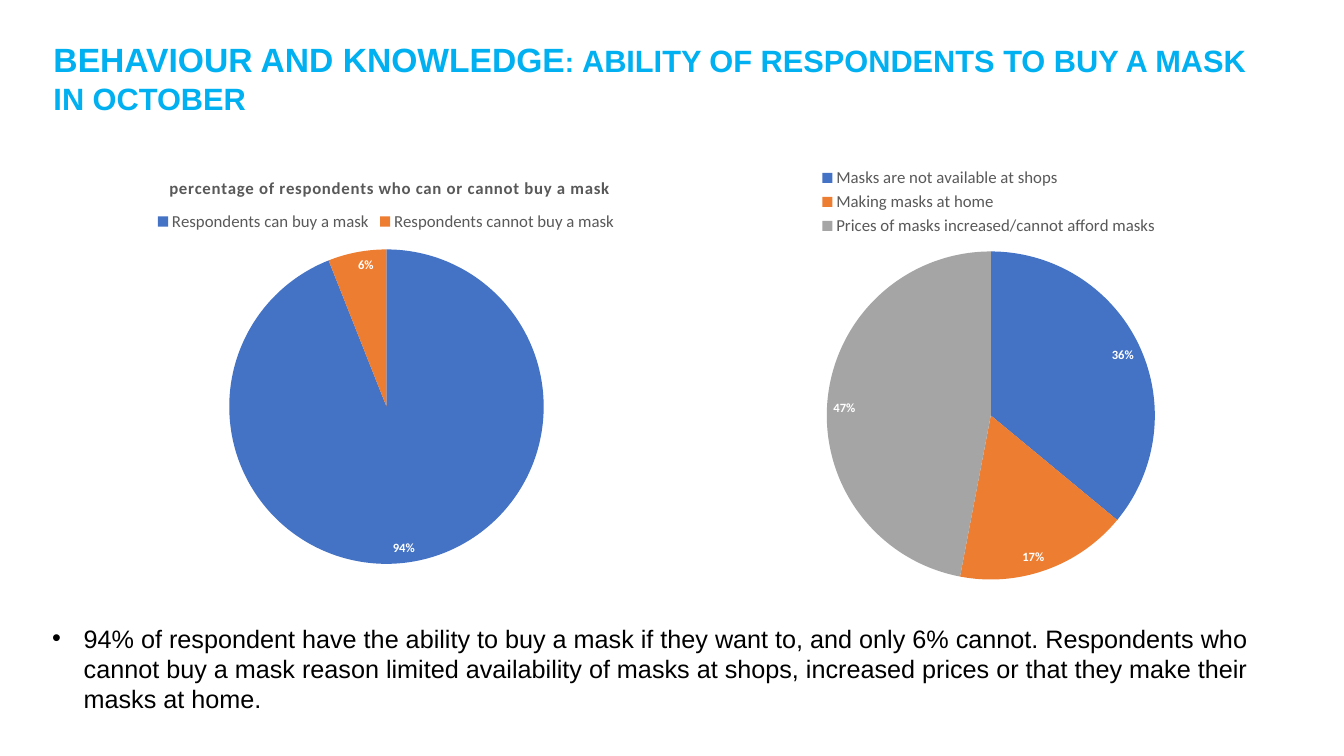
from dataclasses import dataclass

from lxml import etree
from pptx import Presentation
from pptx.chart.chart import Chart
from pptx.chart.data import CategoryChartData
from pptx.dml.color import RGBColor
from pptx.enum import chart as ch, text
from pptx.oxml import ns
from pptx.slide import Slide
from pptx.util import Pt

COLOURS = {
    "heading": "00B0F0",
    "body": "000000",
    "chart_text": "595959",
    "label": "FFFFFF",
}
SLICE_COLOURS = ["4472C4", "ED7D31", "A5A5A5"]


@dataclass
class PieSpec:
    """Box is in points; layouts are fractions of the chart area."""
    box: tuple[float, float, float, float]
    values: dict[str, float]
    plot_layout: dict[str, float]
    legend_layout: dict[str, float]
    title: str = ""


PIES = [
    PieSpec(
        box=(468.7, 110.9, 478.1, 312.5),
        values={
            "Masks are not available at shops": 36,
            "Making masks at home": 17,
            "Prices of masks increased/cannot afford masks": 47,
        },
        plot_layout={"x": 0.25, "y": 0.22, "w": 0.5, "h": 0.75},
        legend_layout={"x": 0.24, "y": 0.02},
    ),
    PieSpec(
        box=(30.2, 112.3, 491.8, 299.5),
        values={"Respondents can buy a mask": 94, "Respondents cannot buy a mask": 6},
        plot_layout={"x": 0.27, "y": 0.22, "w": 0.46, "h": 0.75},
        legend_layout={"x": 0.16, "y": 0.12},
        title="percentage of respondents who can or cannot buy a mask",
    ),
]
TITLE_LAYOUT = {"x": 0.18, "y": 0.04}
HEADING = [
    [("BEHAVIOUR AND KNOWLEDGE", 24), (": ", 20),
     ("ABILITY OF RESPONDENTS TO BUY A MASK", 22)],
    [("IN OCTOBER", 22)],
]
FINDING = (
    "94% of respondent have the ability to buy a mask if they want to, and only 6% "
    "cannot. Respondents who cannot buy a mask reason limited availability of masks at "
    "shops, increased prices or that they make their masks at home."
)


def style_font(font, name: str, size: float, colour: str, bold: bool = False) -> None:
    font.name, font.size, font.bold = name, Pt(size), bold
    font.color.rgb = RGBColor.from_string(COLOURS[colour])


def place(shape, left: float, top: float, width: float, height: float) -> None:
    shape.left, shape.top = Pt(left), Pt(top)
    shape.width, shape.height = Pt(width), Pt(height)


def set_layout(chart: Chart, tag: str, fractions: dict[str, float]) -> None:
    """Fix the place of the plot area, legend or title within the chart."""
    parent = chart.element.find(".//" + ns.qn(tag))
    for old in parent.findall(ns.qn("c:layout")):
        parent.remove(old)
    layout = etree.Element(ns.qn("c:layout"))
    manual = etree.SubElement(layout, ns.qn("c:manualLayout"))
    if tag == "c:plotArea":
        etree.SubElement(manual, ns.qn("c:layoutTarget")).set("val", "inner")
    for axis in ("x", "y"):
        etree.SubElement(manual, ns.qn(f"c:{axis}Mode")).set("val", "edge")
    for key, fraction in fractions.items():
        etree.SubElement(manual, ns.qn(f"c:{key}")).set("val", str(fraction))
    overlay = parent.find(ns.qn("c:overlay"))
    parent.insert(0 if overlay is None else parent.index(overlay), layout)


def add_heading(slide: Slide) -> None:
    title = slide.shapes.title
    place(title, 31, 23.8, 882.7, 63.4)
    frame = title.text_frame
    frame.word_wrap = True
    frame.auto_size = text.MSO_AUTO_SIZE.NONE
    frame.vertical_anchor = text.MSO_ANCHOR.MIDDLE
    for index, line in enumerate(HEADING):
        paragraph = frame.add_paragraph() if index else frame.paragraphs[0]
        paragraph.alignment = text.PP_ALIGN.LEFT
        for words, size in line:
            run = paragraph.add_run()
            run.text = words
            style_font(run.font, "Arial", size, "heading", bold=True)


def add_pie(slide: Slide, pie: PieSpec) -> None:
    data = CategoryChartData()
    data.categories = list(pie.values)
    data.add_series("Series 1", list(pie.values.values()))
    frame = slide.shapes.add_chart(ch.XL_CHART_TYPE.PIE, *map(Pt, pie.box), data)
    chart = frame.chart
    style_font(chart.font, "Calibri", 10, "body")

    chart.has_title = bool(pie.title)
    if pie.title:
        title_frame = chart.chart_title.text_frame
        title_frame.text = pie.title
        style_font(title_frame.paragraphs[0].runs[0].font, "Calibri", 12, "chart_text", True)
        chart.element.find(".//" + ns.qn("a:rPr")).set("spc", "50")
        set_layout(chart, "c:title", TITLE_LAYOUT)

    chart.has_legend = True
    chart.legend.position = ch.XL_LEGEND_POSITION.TOP
    chart.legend.include_in_layout = False
    style_font(chart.legend.font, "Calibri", 12, "chart_text")
    set_layout(chart, "c:legend", pie.legend_layout)
    set_layout(chart, "c:plotArea", pie.plot_layout)

    plot = chart.plots[0]
    plot.vary_by_categories = True
    for index, colour in enumerate(SLICE_COLOURS[:len(pie.values)]):
        fill = plot.series[0].points[index].format.fill
        fill.solid()
        fill.fore_color.rgb = RGBColor.from_string(colour)
    plot.has_data_labels = True
    labels = plot.data_labels
    labels.show_percentage, labels.show_value = True, False
    labels.number_format, labels.number_format_is_linked = "0%", False
    labels.position = ch.XL_LABEL_POSITION.INSIDE_END
    style_font(labels.font, "Calibri", 9, "label", bold=True)


def add_finding(slide: Slide) -> None:
    box = slide.shapes.add_textbox(Pt(30.2), Pt(441.4), Pt(899.3), Pt(72.7))
    frame = box.text_frame
    frame.word_wrap = True
    paragraph = frame.paragraphs[0]
    paragraph.text = FINDING
    properties = paragraph._p.get_or_add_pPr()
    properties.set("marL", str(Pt(22.5)))
    properties.set("indent", str(-Pt(22.5)))
    etree.SubElement(properties, ns.qn("a:buFont")).set("typeface", "Arial")
    etree.SubElement(properties, ns.qn("a:buChar")).set("char", "•")
    style_font(paragraph.runs[0].font, "Arial", 18, "body")


def main() -> None:
    presentation = Presentation()
    presentation.slide_width, presentation.slide_height = Pt(960), Pt(540)
    slide = presentation.slides.add_slide(presentation.slide_layouts[5])
    add_heading(slide)
    for pie in PIES:
        add_pie(slide, pie)
    add_finding(slide)
    presentation.save("out.pptx")


if __name__ == "__main__":
    main()
